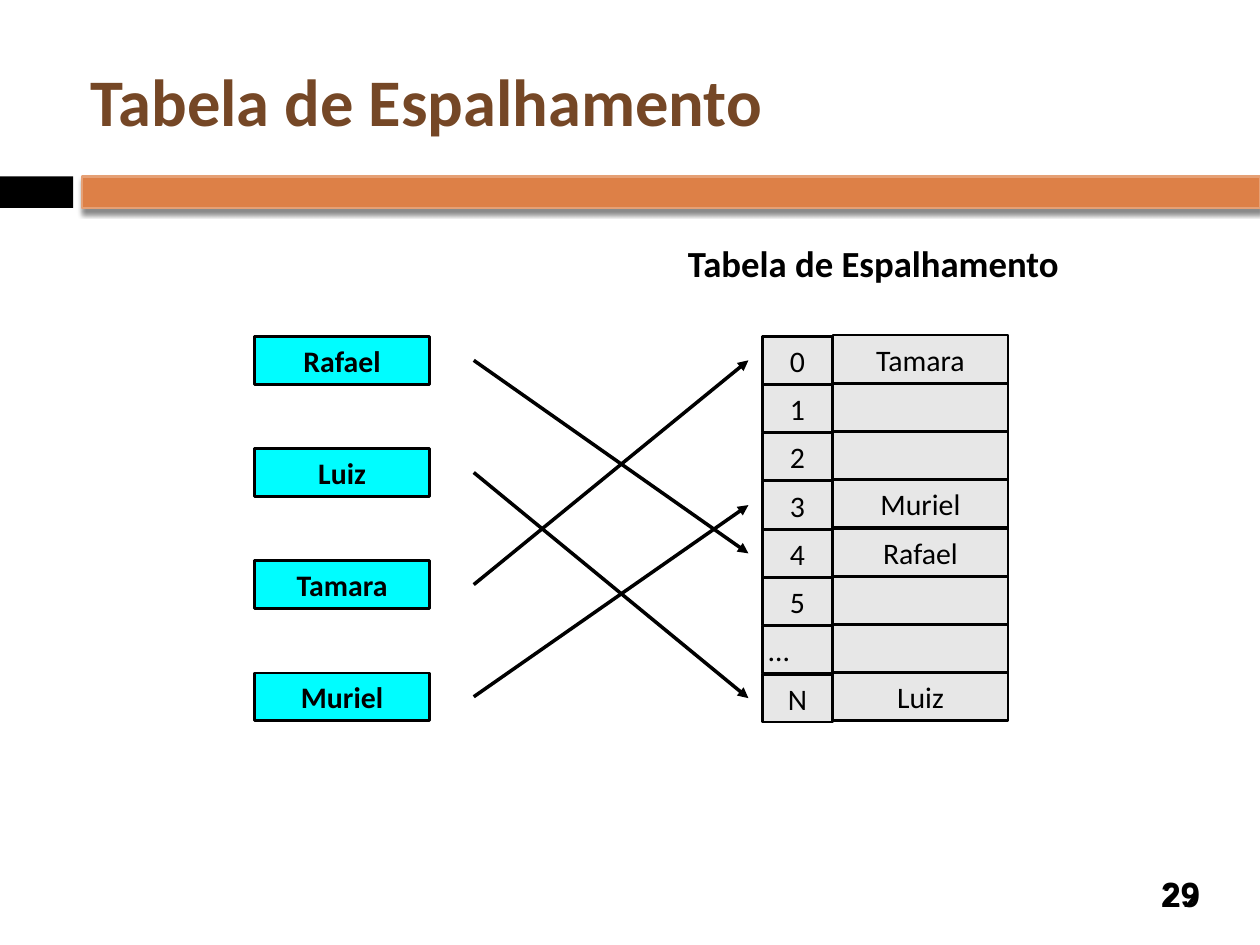
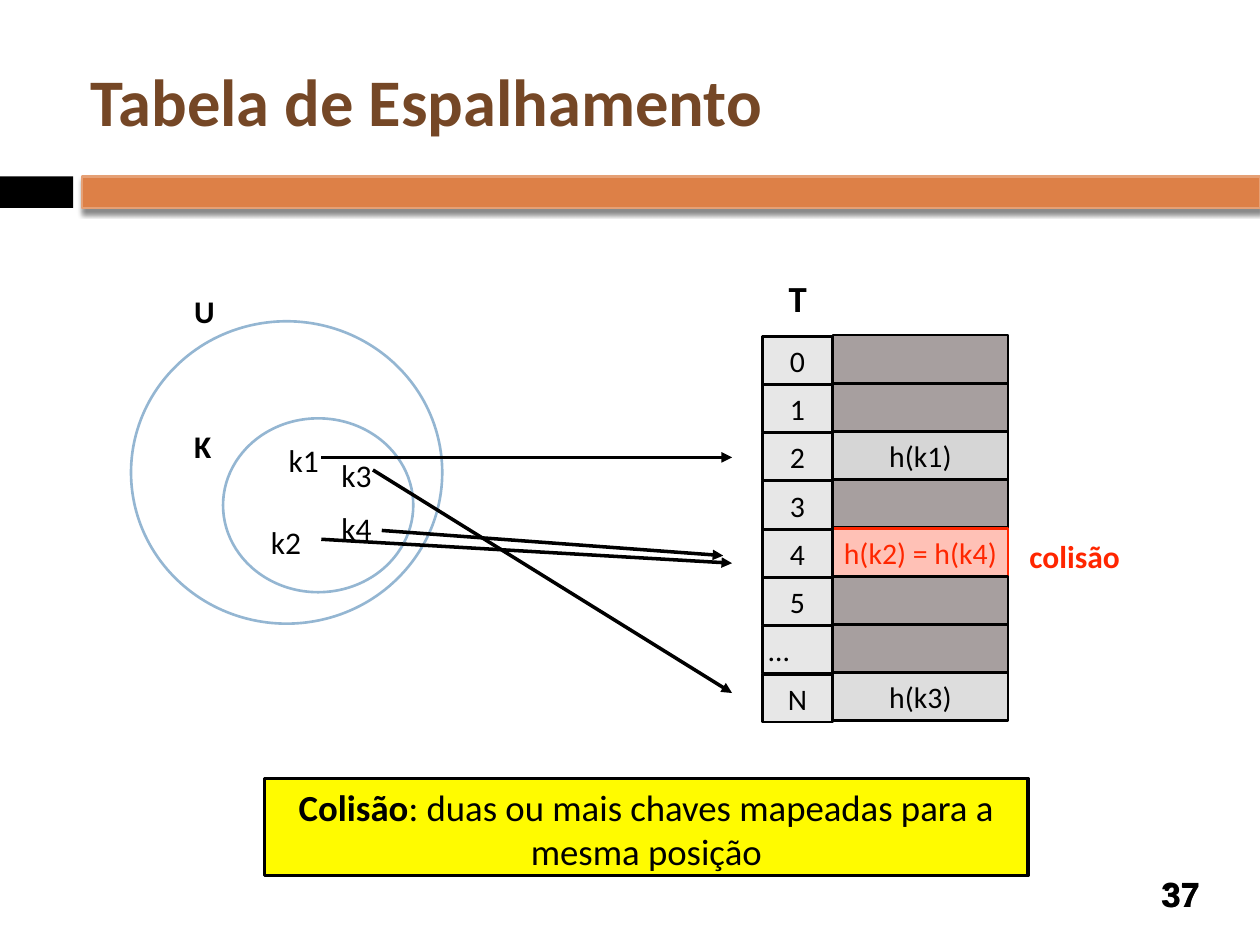
import pptx
import pptx.dml.color
import pptx.enum.shapes
import pptx.enum.text
import pptx.oxml
import pptx.oxml.ns
import pptx.util
from lxml import etree

RGB = pptx.dml.color.RGBColor
SHAPE = pptx.enum.shapes.MSO_SHAPE
ALIGN = pptx.enum.text.PP_ALIGN
ANCHOR = pptx.enum.text.MSO_ANCHOR
FIT = pptx.enum.text.MSO_AUTO_SIZE
qn = pptx.oxml.ns.qn

BLACK = RGB(0x00, 0x00, 0x00)
WHITE = RGB(0xFF, 0xFF, 0xFF)
BROWN = RGB(0x75, 0x47, 0x26)
ORANGE = RGB(0xDD, 0x80, 0x47)
ORANGE_EDGE = RGB(0xE5, 0xA0, 0x75)
CYAN = RGB(0x00, 0xFD, 0xFF)
BLUE = RGB(0x94, 0xB6, 0xD2)
YELLOW = RGB(0xFF, 0xFB, 0x00)
RED = RGB(0xFF, 0x26, 0x00)
PINK = RGB(0xFF, 0xC1, 0xB6)
CELL = RGB(0xE7, 0xE7, 0xE7)
EMPTY = RGB(0xA7, 0x9F, 0x9F)
MAPPED = RGB(0xD6, 0xD6, 0xD6)
MAPPED_LAST = RGB(0xDD, 0xDD, 0xDD)

TITLE = "Tabela de Espalhamento"
INDEXES = ["0", "1", "2", "3", "4", "5", "…", "N"]
COLUMNS, ROWS = 100, 75
TABLE_TOP, SLOT_STEP, SLOT_H = 26.6, 3.83, 3.8
INDEX_X, INDEX_W = 60.5, 5.6
VALUE_X, BOX_W = 66.1, 13.9
BAND_SHADOW = (
    '<a:outerShdw xmlns:a="http://schemas.openxmlformats.org/drawingml/2006/main"'
    ' blurRad="38100" dist="30480" dir="5400000" algn="ctr" rotWithShape="0">'
    '<a:srgbClr val="000000"><a:alpha val="45000"/></a:srgbClr></a:outerShdw>')


def set_all(target, values):
    for name, value in values.items():
        setattr(target, name, value)


class Deck:
    """Holds the style and the current slide; lengths are grid columns and rows."""

    def __init__(self):
        self.prs = pptx.Presentation()
        self.prs.slide_width = pptx.util.Inches(10)
        self.prs.slide_height = pptx.util.Inches(7.5)
        self.s = None

    def x(self, columns):
        return round(self.prs.slide_width * columns / COLUMNS)

    def y(self, rows):
        return round(self.prs.slide_height * rows / ROWS)

    def place(self, left, top, width, height):
        return self.x(left), self.y(top), self.x(width), self.y(height)

    def new_slide(self, number):
        """Start a slide with its bands, page number and title."""
        self.s = self.prs.slides.add_slide(self.prs.slide_layouts[6])
        self.shape((0, 14, 5.8, 2.5), BLACK)
        band = self.shape((6.5, 14, 93.5, 2.5), ORANGE, ORANGE_EDGE)
        effects = band._element.spPr.find(qn("a:effectLst"))
        effects.append(pptx.oxml.parse_xml(BAND_SHADOW))
        for font in ("Arial", "Calibri"):
            self.text((90.8, 68.9, 5.8, 4.1), number, 20, name=font, bold=True,
                      align=ALIGN.CENTER, anchor=ANCHOR.MIDDLE, wrap=True)
        self.text((6.7, 2.5, 89.2, 10.8), TITLE, 38, color=BROWN, bold=True,
                  anchor=ANCHOR.MIDDLE, wrap=True)

    def fill_text(self, sp, runs, size, color=BLACK, bold=False, name="Calibri",
                  align=ALIGN.LEFT, anchor=ANCHOR.TOP, wrap=True):
        """Fill a shape with one paragraph of (text, bold) runs or one string."""
        inset = pptx.util.Inches(0.05)
        tf = sp.text_frame
        set_all(tf, {"margin_left": inset, "margin_top": inset,
                     "margin_right": inset, "margin_bottom": inset,
                     "vertical_anchor": anchor, "word_wrap": wrap,
                     "auto_size": FIT.NONE if wrap else FIT.SHAPE_TO_FIT_TEXT})
        p = tf.paragraphs[0]
        p.alignment = align
        for text, heavy in [(runs, bold)] if isinstance(runs, str) else runs:
            r = p.add_run()
            r.text = text
            set_all(r.font, {"name": name, "size": pptx.util.Pt(size), "bold": heavy})
            r.font.color.rgb = color

    def text(self, box, runs, size, wrap=False, **style):
        sp = self.s.shapes.add_textbox(*self.place(*box))
        self.fill_text(sp, runs, size, wrap=wrap, **style)

    def shape(self, box, fill, line=None, weight=1.5, kind=SHAPE.RECTANGLE):
        sp = self.s.shapes.add_shape(kind, *self.place(*box))
        sp.shadow.inherit = False
        sp.fill.solid()
        sp.fill.fore_color.rgb = fill
        if line is None:
            sp.line.fill.background()
        else:
            sp.line.color.rgb = line
            sp.line.width = pptx.util.Pt(weight)
        return sp

    def cell(self, box, label, fill, line=BLACK, color=BLACK, bold=False,
             align=ALIGN.CENTER):
        sp = self.shape(box, fill, line)
        if label:
            self.fill_text(sp, label, 17, color, bold, align=align,
                           anchor=ANCHOR.MIDDLE)

    def hash_table(self, slots, empty_fill):
        """Draw all slots; slots maps a row to the format of its filled cell."""
        for row in range(len(INDEXES)):
            style = slots.get(row, {"label": "", "fill": empty_fill})
            self.cell((VALUE_X, TABLE_TOP + row * SLOT_STEP, BOX_W, SLOT_H), **style)
        for row, index in enumerate(INDEXES):
            self.cell((INDEX_X, TABLE_TOP + 0.1 + row * SLOT_STEP, INDEX_W, SLOT_H),
                      index, CELL, align=ALIGN.LEFT if index == "…" else ALIGN.CENTER)

    def arrow(self, x1, y1, x2, y2):
        sp = self.s.shapes.add_connector(
            pptx.enum.shapes.MSO_CONNECTOR.STRAIGHT,
            self.x(x1), self.y(y1), self.x(x2), self.y(y2))
        sp.line.color.rgb = BLACK
        sp.line.width = pptx.util.Pt(2)
        spPr = sp._element.spPr
        etree.SubElement(spPr.find(qn("a:ln")), qn("a:tailEnd"), type="triangle")
        etree.SubElement(spPr, qn("a:effectLst"))


def names_slide(deck):
    deck.new_slide("29")
    row_of_name = {"Rafael": 4, "Luiz": 7, "Tamara": 0, "Muriel": 3}
    deck.hash_table({row: {"label": name, "fill": CELL}
                     for name, row in row_of_name.items()}, CELL)
    for i, (name, row) in enumerate(row_of_name.items()):
        top = 26.7 + 8.9 * i
        deck.cell((20.2, top, BOX_W, SLOT_H), name, CYAN, bold=True)
        deck.arrow(37.6, top + SLOT_H / 2,
                   59.4, TABLE_TOP + 0.1 + row * SLOT_STEP + SLOT_H / 2)
    deck.text((54.1, 18.6, 30.9, 4.2), TITLE, 21, bold=True)


def collision_slide(deck):
    deck.new_slide("37")
    deck.hash_table({
        2: {"label": "h(k1)", "fill": MAPPED},
        4: {"label": "h(k2) = h(k4)", "fill": PINK, "line": RED, "color": RED},
        7: {"label": "h(k3)", "fill": MAPPED_LAST},
    }, EMPTY)
    deck.text((62.1, 21.4, 2.5, 4.2), "T", 21, bold=True)

    for key_set in ((10.4, 25.5, 24.7, 24), (17.7, 33.2, 15.1, 13.8)):
        deck.shape(key_set, WHITE, BLUE, kind=SHAPE.OVAL)
    for key, x, y in (("k1", 22.4, 34.5), ("k2", 21, 41),
                      ("k3", 26.6, 35.7), ("k4", 26.6, 39.9)):
        deck.text((x, y, 3.6, 3.6), key, 18)
    for set_name, y in (("U", 22.7), ("K", 33.4)):
        deck.text((14.9, y, 2.7, 3.6), set_name, 18, bold=True)

    for ends in ((25.5, 36.3, 58.1, 36.3), (25.5, 42.8, 58.1, 44.7),
                 (29.6, 37.3, 58.1, 55), (30.3, 42.1, 57.4, 44.1)):
        deck.arrow(*ends)
    deck.text((81.2, 42.1, 8.5, 3.6), "colisão", 18, color=RED, bold=True)
    note = deck.shape((21, 61.8, 60.6, 7.7), YELLOW, BLACK, 2)
    deck.fill_text(note, [("Colisão", True),
                          (": duas ou mais chaves mapeadas para a mesma posição", False)],
                   21, align=ALIGN.CENTER)


def main():
    deck = Deck()
    names_slide(deck)
    collision_slide(deck)
    deck.prs.save("out.pptx")


if __name__ == "__main__":
    main()
